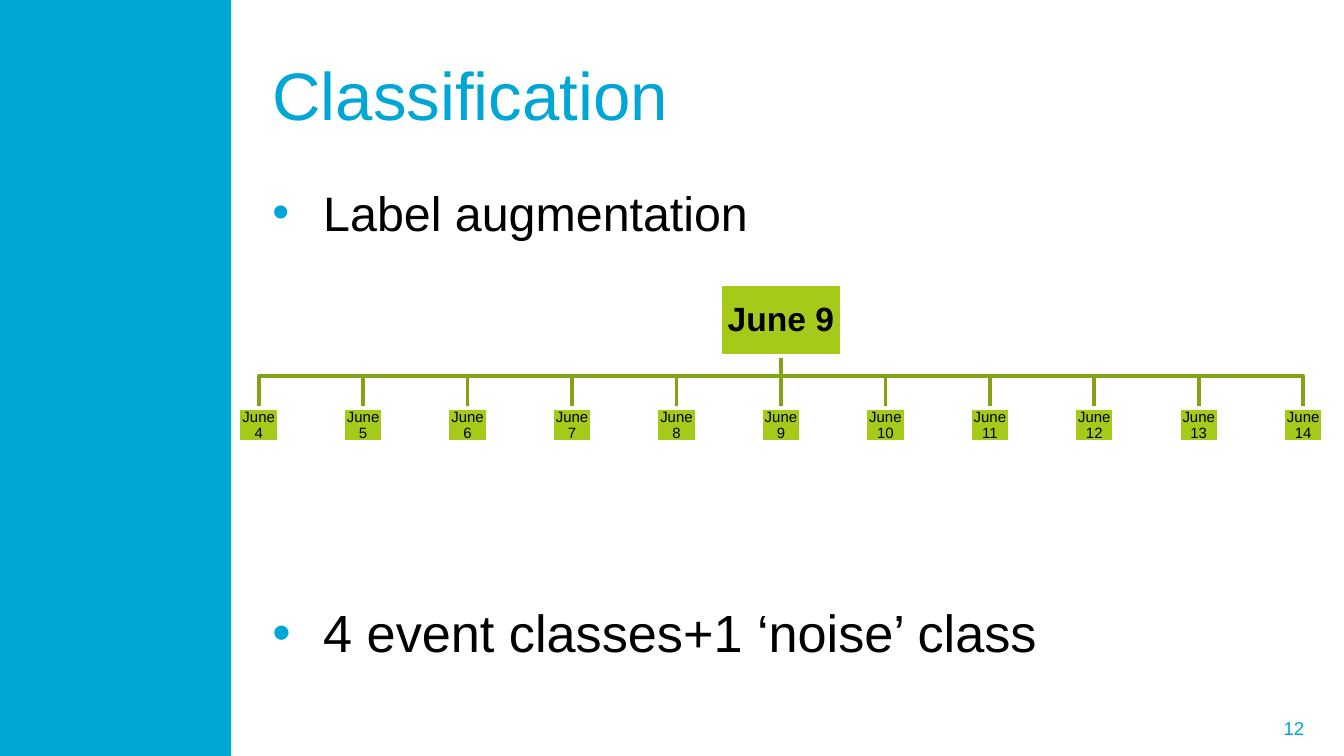
"""Build the Classification slide with its label augmentation timeline."""
import dataclasses
from typing import Any

import lxml.etree
import pptx
import pptx.dml.color
import pptx.enum.shapes
import pptx.enum.text
import pptx.oxml.ns
import pptx.shapes.base
import pptx.slide
import pptx.util

Cm = pptx.util.Cm
Pt = pptx.util.Pt
ALIGN = pptx.enum.text.PP_ALIGN
ANCHOR = pptx.enum.text.MSO_ANCHOR

BLUE, GREEN, OLIVE, WHITE, BLACK = "00A6D6", "A5CA1A", "84A215", "FFFFFF", "000000"
ROOT_BOTTOM, BRANCH_LEVEL, DAY_TOP = 6.73, 7.11, 7.72
FIRST_X, LAST_X = 4.89, 24.63
FIRST_DAY, LAST_DAY = 4, 14


@dataclasses.dataclass(frozen=True)
class Label:
    text: str
    left: float
    top: float
    width: float
    height: float
    size: float
    colour: str = BLACK
    bold: bool = False
    align: Any = ALIGN.LEFT
    anchor: Any = ANCHOR.MIDDLE
    bulleted: bool = False


def colour(value: str) -> pptx.dml.color.RGBColor:
    return pptx.dml.color.RGBColor.from_string(value)


def apply(target: Any, formats: dict[str, Any]) -> None:
    for name, value in formats.items():
        setattr(target, name, value)


def add_bullet(para: Any) -> None:
    para.space_before = Pt(3)
    properties = para._p.get_or_add_pPr()
    properties.set("marL", str(Cm(0.96)))
    properties.set("indent", str(-Cm(0.96)))
    qn = pptx.oxml.ns.qn
    tint = lxml.etree.SubElement(properties, qn("a:buClr"))
    lxml.etree.SubElement(tint, qn("a:srgbClr"), val=BLUE)
    lxml.etree.SubElement(properties, qn("a:buFont"), typeface="Arial")
    lxml.etree.SubElement(properties, qn("a:buChar"), char="•")


def write(box: Any, label: Label) -> None:
    apply(box.text_frame, {"word_wrap": True, "vertical_anchor": label.anchor})
    para = box.text_frame.paragraphs[0]
    para.alignment = label.align
    if label.bulleted:
        add_bullet(para)
    span = para.add_run()
    span.text = label.text
    apply(span.font, {"name": "Arial", "size": Pt(label.size), "bold": label.bold})
    span.font.color.rgb = colour(label.colour)


def add_text(page: pptx.slide.Slide, label: Label) -> None:
    box = page.shapes.add_textbox(
        Cm(label.left), Cm(label.top), Cm(label.width), Cm(label.height))
    write(box, label)


def add_block(page: pptx.slide.Slide, left: float, top: float, width: float,
              height: float, fill: str) -> pptx.shapes.base.BaseShape:
    block = page.shapes.add_shape(
        pptx.enum.shapes.MSO_SHAPE.RECTANGLE, Cm(left), Cm(top), Cm(width), Cm(height))
    block.shadow.inherit = False
    block.fill.solid()
    block.fill.fore_color.rgb = colour(fill)
    block.line.fill.background()
    return block


def add_node(page: pptx.slide.Slide, label: Label) -> None:
    node = add_block(page, label.left, label.top, label.width, label.height, GREEN)
    node.line.color.rgb = colour(WHITE)
    node.line.width = Pt(2)
    sides = ("left", "right", "top", "bottom")
    apply(node.text_frame, {f"margin_{side}": Cm(0.03) for side in sides})
    write(node, label)
    node.text_frame.paragraphs[0].line_spacing = 0.9


def add_branch(page: pptx.slide.Slide, root_x: float, day_x: float) -> None:
    if abs(day_x - root_x) < 0.01:
        branch = page.shapes.add_connector(
            pptx.enum.shapes.MSO_CONNECTOR.STRAIGHT,
            Cm(root_x), Cm(ROOT_BOTTOM), Cm(root_x), Cm(DAY_TOP))
        lxml.etree.SubElement(
            branch._element.spPr, pptx.oxml.ns.qn("a:effectLst"))
    else:
        builder = page.shapes.build_freeform(Cm(root_x), Cm(ROOT_BOTTOM))
        corners = ((root_x, BRANCH_LEVEL), (day_x, BRANCH_LEVEL), (day_x, DAY_TOP))
        builder.add_line_segments([(Cm(x), Cm(y)) for x, y in corners], close=False)
        branch = builder.convert_to_shape()
        branch.shadow.inherit = False
        branch.fill.background()
    branch.line.color.rgb = colour(OLIVE)
    branch.line.width = Pt(2)


def add_timeline(page: pptx.slide.Slide) -> None:
    root_x = (FIRST_X + LAST_X) / 2
    pitch = (LAST_X - FIRST_X) / (LAST_DAY - FIRST_DAY)
    centres = {day: FIRST_X + (day - FIRST_DAY) * pitch
               for day in range(FIRST_DAY, LAST_DAY + 1)}
    for centre in reversed(centres.values()):
        add_branch(page, root_x, centre)
    add_node(page, Label("June 9", root_x - 1.15, 5.38, 2.3, 1.35, 18,
                         bold=True, align=ALIGN.CENTER))
    for day, centre in centres.items():
        add_node(page, Label(f"June {day}", centre - 0.38, DAY_TOP, 0.76, 0.64, 8,
                             align=ALIGN.CENTER))


def main() -> None:
    deck = pptx.Presentation()
    apply(deck, {"slide_width": Cm(25.4), "slide_height": Cm(14.29)})
    page = deck.slides.add_slide(deck.slide_layouts[6])
    add_text(page, Label("12", 18.47, 13.39, 6.43, 0.76, 10, BLUE, align=ALIGN.RIGHT))
    add_block(page, 0, 0, 4.37, 14.29, BLUE)
    add_text(page, Label("Classification", 4.9, 0.58, 19.74, 2.39, 36, BLUE))
    add_text(page, Label("Label augmentation", 4.9, 3.33, 10.13, 2.03, 25.9,
                         anchor=ANCHOR.TOP, bulleted=True))
    add_timeline(page)
    add_text(page, Label("4 event classes+1 ‘noise’ class", 4.9, 11.23, 16.38, 2.49, 28,
                         anchor=ANCHOR.TOP, bulleted=True))
    deck.save("out.pptx")


if __name__ == "__main__":
    main()
